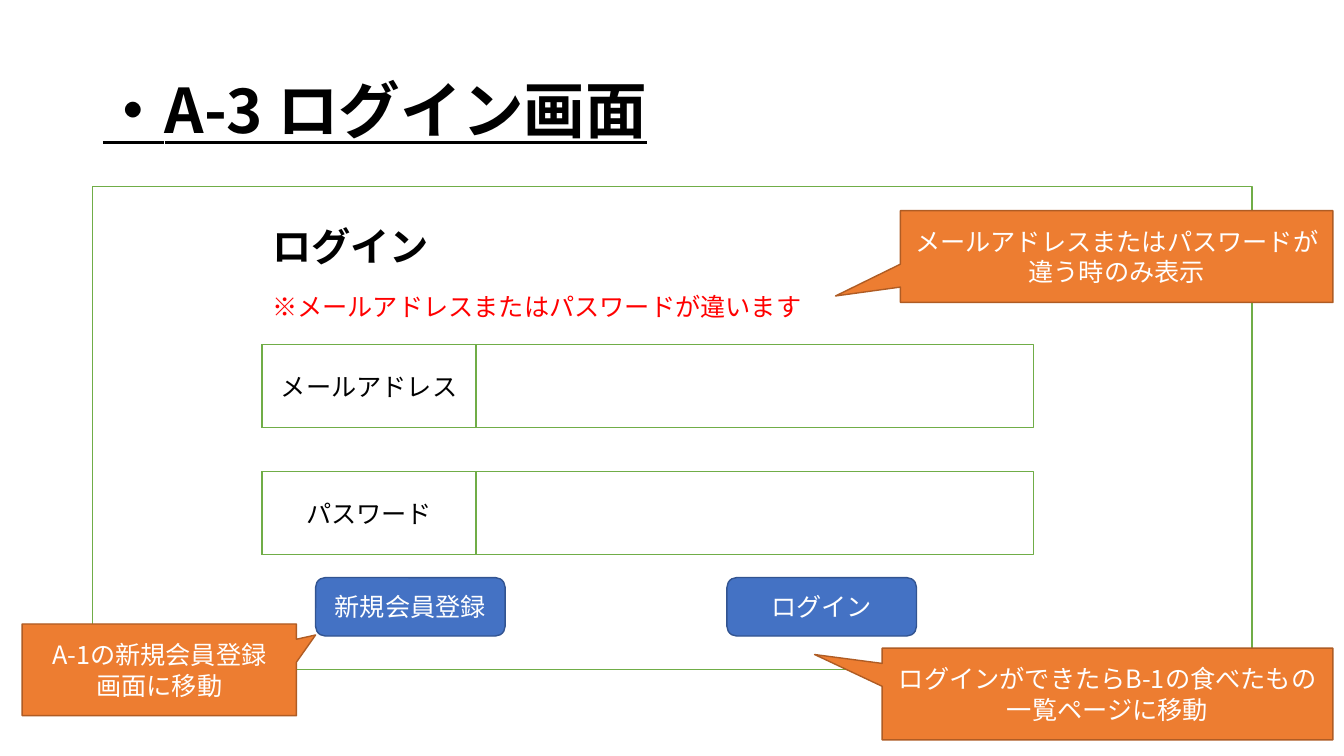
from dataclasses import dataclass

from lxml.etree import SubElement
from pptx import Presentation
from pptx.dml.color import RGBColor
from pptx.enum.shapes import MSO_SHAPE as Preset
from pptx.enum.text import MSO_ANCHOR as Anchor, MSO_AUTO_SIZE as AutoSize, PP_ALIGN as Align
from pptx.oxml.ns import qn
from pptx.shapes.autoshape import Shape
from pptx.slide import Slide
from pptx.util import Emu, Pt

PX = 9144  # 100 px to the inch
FONT = "Noto Sans CJK JP"

BLACK = RGBColor(0x00, 0x00, 0x00)
WHITE = RGBColor(0xFF, 0xFF, 0xFF)
RED = RGBColor(0xFF, 0x00, 0x00)
GREEN = RGBColor(0x70, 0xAD, 0x47)
BLUE = RGBColor(0x44, 0x72, 0xC4)
DARK_BLUE = RGBColor(0x32, 0x54, 0x91)
ORANGE = RGBColor(0xED, 0x7D, 0x31)
DARK_ORANGE = RGBColor(0xAF, 0x5C, 0x24)


@dataclass(frozen=True)
class Area:
    left: int
    top: int
    width: int
    height: int

    def emu(self) -> tuple[Emu, Emu, Emu, Emu]:
        return (Emu(self.left * PX), Emu(self.top * PX),
                Emu(self.width * PX), Emu(self.height * PX))


@dataclass(frozen=True)
class Look:
    preset: Preset
    fill: RGBColor
    line: RGBColor
    text: RGBColor


@dataclass(frozen=True)
class Callout:
    area: Area
    tip: tuple[float, float]
    lines: tuple[str, ...]


FRAME = Look(Preset.RECTANGLE, WHITE, GREEN, BLACK)
BUTTON = Look(Preset.ROUNDED_RECTANGLE, BLUE, DARK_BLUE, WHITE)
NOTE = Look(Preset.RECTANGULAR_CALLOUT, ORANGE, DARK_ORANGE, WHITE)

TITLE_AREA = Area(92, 40, 1150, 145)
SCREEN_AREA = Area(92, 185, 1150, 479)
HEADING_AREA = Area(260, 216, 555, 57)
ERROR_AREA = Area(260, 284, 584, 40)

FIELD_LEFT, FIELD_TOP, FIELD_STEP = 260, 342, 126
FIELD_WIDTH, LABEL_WIDTH, FIELD_HEIGHT = 765, 212, 82
FIELD_LABELS = ("メールアドレス", "パスワード")

BUTTON_TOP, BUTTON_WIDTH, BUTTON_HEIGHT = 573, 188, 58
BUTTONS = {"ログイン": 721, "新規会員登録": 313}

CALLOUTS = (
    Callout(Area(893, 209, 429, 91), (-0.65, 0.43),
            ("メールアドレスまたはパスワードが違う時のみ表示",)),
    Callout(Area(875, 643, 447, 91), (-0.65, -0.43),
            ("ログインができたらB-1の食べたもの一覧ページに移動",)),
    Callout(Area(22, 619, 272, 91), (0.57, -0.38),
            ("A-1の新規会員登録", "画面に移動")),
)


def write(box: Shape, lines: tuple[str, ...], color: RGBColor, size: int = 18,
          bold: bool = False, align: Align = Align.LEFT) -> None:
    frame = box.text_frame
    frame.word_wrap = True
    frame.text = "\n".join(lines)
    for para in frame.paragraphs:
        para.alignment = align
        font = para.font
        font.name = FONT
        font.size = Pt(size)
        font.bold = bold
        font.color.rgb = color
        SubElement(font._element, qn("a:ea"), typeface=FONT)


def add_title(page: Slide, text: str) -> None:
    title = page.shapes.title
    title.left, title.top, title.width, title.height = TITLE_AREA.emu()
    write(title, (text,), BLACK, 44, bold=True)
    frame = title.text_frame
    frame.auto_size = AutoSize.NONE
    frame.vertical_anchor = Anchor.MIDDLE
    para = frame.paragraphs[0]
    para.line_spacing = 0.9
    para.font.underline = True


def add_text(page: Slide, area: Area, text: str, color: RGBColor,
             size: int = 18, bold: bool = False) -> None:
    box = page.shapes.add_textbox(*area.emu())
    write(box, (text,), color, size, bold)
    box.text_frame.auto_size = AutoSize.SHAPE_TO_FIT_TEXT


def add_panel(page: Slide, area: Area, look: Look, *lines: str) -> Shape:
    panel = page.shapes.add_shape(look.preset, *area.emu())
    panel.shadow.inherit = False
    panel.fill.solid()
    panel.fill.fore_color.rgb = look.fill
    panel.line.color.rgb = look.line
    panel.line.width = Pt(1)
    if lines:
        write(panel, lines, look.text, align=Align.CENTER)
        panel.text_frame.vertical_anchor = Anchor.MIDDLE
    return panel


def add_field(page: Slide, top: int, label: str) -> None:
    add_panel(page, Area(FIELD_LEFT, top, FIELD_WIDTH, FIELD_HEIGHT), FRAME)
    add_panel(page, Area(FIELD_LEFT, top, LABEL_WIDTH, FIELD_HEIGHT), FRAME, label)


def add_callout(page: Slide, callout: Callout) -> None:
    panel = add_panel(page, callout.area, NOTE, *callout.lines)
    panel.adjustments[0], panel.adjustments[1] = callout.tip


def main() -> None:
    deck = Presentation()
    deck.slide_width, deck.slide_height = Emu(1333 * PX), Emu(750 * PX)
    page = deck.slides.add_slide(deck.slide_layouts.get_by_name("Title Only"))

    add_title(page, "・A-3 ログイン画面")
    add_panel(page, SCREEN_AREA, FRAME)
    for row, label in enumerate(FIELD_LABELS):
        add_field(page, FIELD_TOP + row * FIELD_STEP, label)
    add_text(page, HEADING_AREA, "ログイン", BLACK, 28, bold=True)
    add_text(page, ERROR_AREA, "※メールアドレスまたはパスワードが違います", RED)
    for label, left in BUTTONS.items():
        add_panel(page, Area(left, BUTTON_TOP, BUTTON_WIDTH, BUTTON_HEIGHT), BUTTON, label)
    for callout in CALLOUTS:
        add_callout(page, callout)

    deck.save("out.pptx")


if __name__ == "__main__":
    main()
